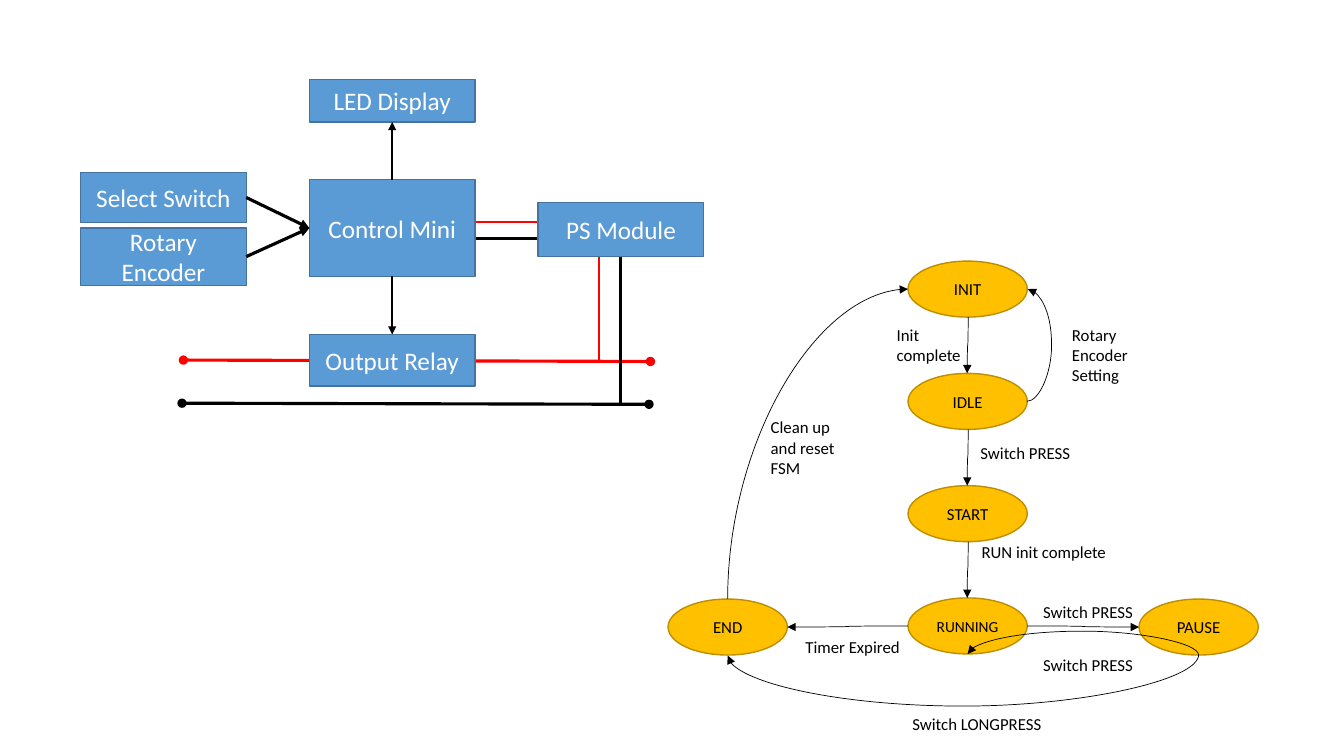
from pptx import Presentation
from pptx.dml.color import RGBColor
from pptx.enum.shapes import MSO_CONNECTOR, MSO_SHAPE
from pptx.enum.text import MSO_ANCHOR, MSO_AUTO_SIZE, PP_ALIGN
from pptx.oxml.ns import qn
from pptx.util import Pt
from lxml.etree import SubElement

BLUE = RGBColor(0x5B, 0x9B, 0xD5)
BLUE_EDGE = RGBColor(0x43, 0x73, 0x9E)
GOLD = RGBColor(0xFF, 0xC0, 0x00)
GOLD_EDGE = RGBColor(0xBD, 0x8E, 0x00)
RED = RGBColor(0xFF, 0x00, 0x00)
BLACK = RGBColor(0x00, 0x00, 0x00)
WHITE = RGBColor(0xFF, 0xFF, 0xFF)
FONT = "Calibri"

# Hardware blocks: name, column, top, height
BLOCK_LEFT, BLOCK_STEP, BLOCK_WIDTH = 57.6, 163.4, 118.3
BLOCKS = [
    ("Output Relay", 1, 239, 36.8),
    ("Rotary Encoder", 0, 162.8, 41),
    ("Select Switch", 0, 123.2, 35.8),
    ("LED Display", 1, 56.9, 30.2),
    ("PS Module", 2, 144.8, 38.6),
    ("Control Mini", 1, 128.3, 69.2),
]
# Signals: from block, to block, width
SIGNALS = [
    ("Control Mini", "LED Display", 1.5),
    ("Control Mini", "Output Relay", 1.5),
    ("Rotary Encoder", "Control Mini", 2.25),
    ("Select Switch", "Control Mini", 2.25),
]
# Wires: start, end, colour, width, end caps
WIRES = [
    ((131, 257.2), (464.6, 258.2), RED, 2.25, "oval"),
    ((130, 288), (463.6, 288.8), BLACK, 2.25, "oval"),
    ((339.3, 158.5), (384.5, 158.5), RED, 1.5, None),
    ((339.3, 170.4), (384.5, 170.4), BLACK, 2.25, None),
    ((427.8, 258.2), (427.8, 183.4), RED, 1.5, None),
    ((443.2, 183.4), (443.2, 288.8), BLACK, 2.25, None),
]

# States: name, left, row, font size
STATE_TOP, STATE_STEP, STATE_WIDTH, STATE_HEIGHT = 186.5, 80.2, 85.2, 40
STATES = [
    ("INIT", 648.6, 0, 12),
    ("IDLE", 648.6, 1, 12),
    ("START", 648.6, 2, 12),
    ("RUNNING", 648.6, 3, 11),
    ("PAUSE", 813.6, 3.01, 12),
    ("END", 477.2, 3.01, 12),
]
# Connection sites of an ellipse: number, x share, y share
SITES = {"top": (0, 0.5, 0), "left": (2, 0, 0.5),
         "bottom": (4, 0.5, 1), "right": (6, 1, 0.5)}
# Transitions: from state, side, to state, side, bulge of the arc
TRANSITIONS = [
    ("INIT", "bottom", "IDLE", "top", None),
    ("IDLE", "bottom", "START", "top", None),
    ("START", "bottom", "RUNNING", "top", None),
    ("RUNNING", "right", "PAUSE", "left", None),
    ("RUNNING", "left", "END", "right", None),
    ("END", "top", "INIT", "left", None),
    ("PAUSE", "bottom", "RUNNING", "bottom", 18),
    ("PAUSE", "bottom", "END", "bottom", 37.4),
    ("IDLE", "right", "INIT", "right", 18),
]
MIN_EXTENT = 0.72
# Labels: text, left, top, width, height
LABELS = [
    ("Init \ncomplete", 633.4, 228.4, 65, 36.4),
    ("Switch PRESS", 693.2, 312.8, 116.6, 21.8),
    ("RUN init complete", 694, 383.6, 116.6, 21.8),
    ("Switch PRESS", 738, 463.8, 80.6, 21.8),
    ("Timer Expired", 568.2, 451.4, 116.6, 21.8),
    ("Clean up \nand reset\nFSM", 543.4, 294.4, 65.5, 51),
    ("Switch PRESS", 738, 426.2, 80.6, 21.8),
    ("Switch LONGPRESS", 644.6, 506.2, 107.3, 21.8),
    ("Rotary Encoder Setting", 758.6, 228.4, 65, 51),
]


def write(shape, text, size, color, align):
    """Put formatted text in a shape."""
    shape.text_frame.text = text
    shape.text_frame.word_wrap = True
    for paragraph in shape.text_frame.paragraphs:
        paragraph.alignment = align
        for run in paragraph.runs:
            run.font.name = FONT
            run.font.size = Pt(size)
            run.font.color.rgb = color


def add_node(kind, text, frame, fill, edge, size, color):
    """Add a filled shape with centred text."""
    shape = slide.shapes.add_shape(kind, *map(Pt, frame))
    shape.shadow.inherit = False
    shape.fill.solid()
    shape.fill.fore_color.rgb = fill
    shape.line.color.rgb = edge
    shape.line.width = Pt(1)
    shape.text_frame.vertical_anchor = MSO_ANCHOR.MIDDLE
    write(shape, text, size, color, PP_ALIGN.CENTER)
    return shape


def add_line(start, end, color, width, head=None, tail=None,
             kind=MSO_CONNECTOR.STRAIGHT):
    """Add a connector with optional line ends."""
    connector = slide.shapes.add_connector(kind, *map(Pt, (*start, *end)))
    connector.line.color.rgb = color
    connector.line.width = Pt(width)
    properties = connector._element.spPr
    for tag, cap in (("a:headEnd", head), ("a:tailEnd", tail)):
        if cap:
            SubElement(properties.find(qn("a:ln")), qn(tag), type=cap)
    SubElement(properties, qn("a:effectLst"))
    return connector


def add_signal(source, target, width):
    """Join the facing sides of two blocks with an arrow."""
    arrow = add_line((0, 0), (0, 0), BLACK, width, tail="triangle")
    if source.left != target.left:
        sides = (3, 1)
    else:
        sides = (0, 2) if target.top < source.top else (2, 0)
    arrow.begin_connect(source, sides[0])
    arrow.end_connect(target, sides[1])


def site_point(state, side):
    """Return the position of a connection site in points."""
    _, across, down = SITES[side]
    return (state.left.pt + across * state.width.pt,
            state.top.pt + down * state.height.pt)


def add_transition(source, source_side, target, target_side, bulge):
    """Join two states with a curved arrow, glued at both ends."""
    start, end = site_point(source, source_side), site_point(target, target_side)
    delta_x, delta_y = end[0] - start[0], end[1] - start[1]
    width, height = (max(abs(delta), MIN_EXTENT) for delta in (delta_x, delta_y))
    arrow = add_line(start, end, BLACK, 0.5, tail="triangle",
                     kind=MSO_CONNECTOR.CURVE)
    transform = arrow._element.spPr.find(qn("a:xfrm"))
    flip_h, flip_v = delta_x < 0, delta_y < 0
    upright = source_side in ("top", "bottom")
    if upright:
        width, height = height, width
        flip_h, flip_v = delta_y < 0, delta_x > 0
        transform.set("rot", str(90 * 60000))
    transform.set("flipH", str(int(flip_h)))
    transform.set("flipV", str(int(flip_v)))
    arrow.left = Pt((start[0] + end[0] - width) / 2)
    arrow.top = Pt((start[1] + end[1] - height) / 2)
    arrow.width, arrow.height = Pt(width), Pt(height)

    geometry = arrow._element.spPr.find(qn("a:prstGeom"))
    if upright != (target_side in ("top", "bottom")):
        geometry.set("prst", "curvedConnector2")
    elif bulge:
        past_end = bulge - MIN_EXTENT if (flip_h and width > MIN_EXTENT) else bulge
        share = round(past_end / width * 100000)
        SubElement(geometry.find(qn("a:avLst")), qn("a:gd"),
                   name="adj1", fmla=f"val {share}")

    links = arrow._element.find(qn("p:nvCxnSpPr")).find(qn("p:cNvCxnSpPr"))
    for tag, state, side in (("a:stCxn", source, source_side),
                             ("a:endCxn", target, target_side)):
        SubElement(links, qn(tag), id=str(state.shape_id), idx=str(SITES[side][0]))


def add_label(text, *frame):
    """Add a transition label."""
    label = slide.shapes.add_textbox(*map(Pt, frame))
    write(label, text, 12, BLACK, PP_ALIGN.LEFT)
    label.text_frame.auto_size = MSO_AUTO_SIZE.SHAPE_TO_FIT_TEXT


presentation = Presentation()
presentation.slide_width, presentation.slide_height = Pt(960), Pt(540)
slide = presentation.slides.add_slide(presentation.slide_layouts[6])

for start, end, color, width, cap in WIRES:
    add_line(start, end, color, width, cap, cap)

blocks = {}
for name, column, top, height in BLOCKS:
    frame = (BLOCK_LEFT + column * BLOCK_STEP, top, BLOCK_WIDTH, height)
    blocks[name] = add_node(MSO_SHAPE.RECTANGLE, name, frame, BLUE, BLUE_EDGE, 18, WHITE)
for source, target, width in SIGNALS:
    add_signal(blocks[source], blocks[target], width)

states = {}
for name, left, row, size in STATES:
    frame = (left, STATE_TOP + row * STATE_STEP, STATE_WIDTH, STATE_HEIGHT)
    states[name] = add_node(MSO_SHAPE.OVAL, name, frame, GOLD, GOLD_EDGE, size, BLACK)
for source, source_side, target, target_side, bulge in TRANSITIONS:
    add_transition(states[source], source_side, states[target], target_side, bulge)

for label in LABELS:
    add_label(*label)

presentation.save("out.pptx")
